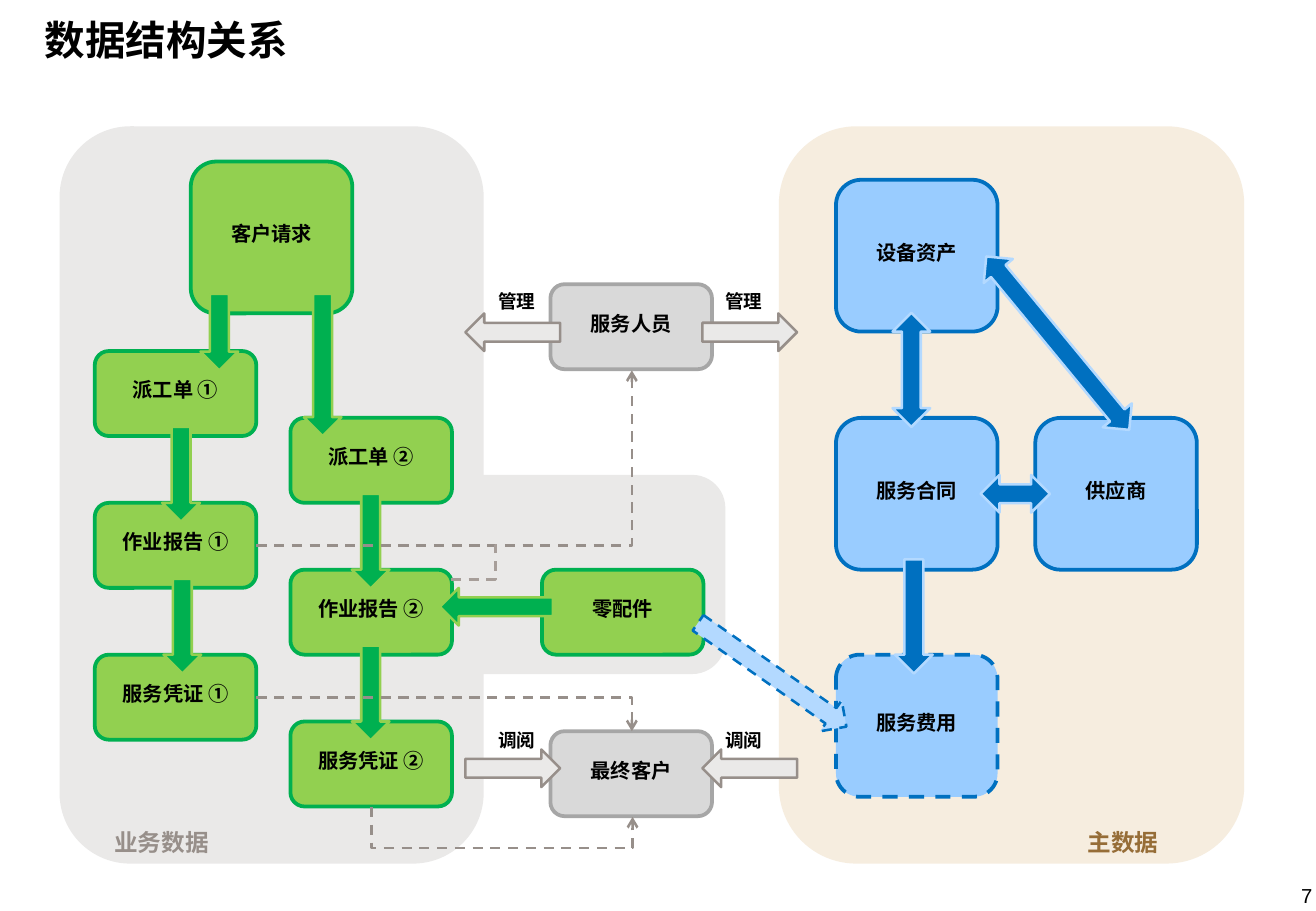
from lxml.etree import SubElement
from pptx import Presentation
from pptx.dml.color import RGBColor
from pptx.enum.dml import MSO_LINE_DASH_STYLE as Dash
from pptx.enum.shapes import MSO_CONNECTOR as Connector, MSO_SHAPE as Preset
from pptx.enum.text import MSO_ANCHOR as Anchor, PP_ALIGN as Align
from pptx.oxml.ns import qn
from pptx.util import Inches, Pt

BLACK = RGBColor(0x00, 0x00, 0x00)
BLUE = RGBColor(0x00, 0x70, 0xC0)
SKY = RGBColor(0x99, 0xCC, 0xFF)
PALE_BLUE = RGBColor(0xB3, 0xD9, 0xFF)
GREEN = RGBColor(0x00, 0xB0, 0x50)
LIME = RGBColor(0x92, 0xD0, 0x50)
SILVER = RGBColor(0xD9, 0xD9, 0xD9)
MID_GRAY = RGBColor(0xA6, 0xA6, 0xA6)
WARM_GRAY = RGBColor(0x97, 0x8F, 0x8A)
LIGHT_WARM_GRAY = RGBColor(0xA7, 0x9E, 0x99)
PANEL_GRAY = RGBColor(0xEA, 0xE9, 0xE8)
CREAM = RGBColor(0xF6, 0xED, 0xDF)
BROWN = RGBColor(0x96, 0x6D, 0x37)

BOX_WIDTH = 1.33
TALL = 1.25
LOW = 0.7
ARROW_HEIGHT = 0.31

MASTER = (SKY, BLUE)
BUSINESS = (LIME, GREEN)
PERSON = (SILVER, MID_GRAY)
MASTER_ARROW = (BLUE, PALE_BLUE)
BUSINESS_ARROW = (GREEN, LIME)
PERSON_ARROW = (PANEL_GRAY, WARM_GRAY)
COST_ARROW = (PALE_BLUE, BLUE)


def apply(target, values):
    for name, value in values.items():
        setattr(target, name, value)


class DiagramSlide:
    font = "Noto Sans CJK SC"

    def __init__(self, slide):
        self.slide = slide
        self.shapes = slide.shapes

    def add_text(self, shape, text, size, color=BLACK, bold=True, font=None, **layout):
        paragraph = shape.text_frame.paragraphs[0]
        apply(paragraph, layout)
        run = paragraph.add_run()
        run.text = text
        font = font or self.font
        apply(run.font, {"size": Pt(size), "bold": bold, "name": font})
        run.font.color.rgb = color
        SubElement(run.font._element, qn("a:ea"), typeface=font)

    def label(self, text, left, top, width, height, size, anchor=Anchor.TOP, **style):
        box = self.shapes.add_textbox(*map(Inches, (left, top, width, height)))
        apply(box.text_frame, {"word_wrap": True, "vertical_anchor": anchor})
        self.add_text(box, text, size, **style)
        return box

    def preset(self, kind, left, top, width, height, fill, line=None, weight=2.25, dash=None):
        shape = self.shapes.add_shape(kind, *map(Inches, (left, top, width, height)))
        shape.shadow.inherit = False
        shape.fill.solid()
        shape.fill.fore_color.rgb = fill
        if line is None:
            shape.line.fill.background()
        else:
            shape.line.color.rgb = line
            apply(shape.line, {"width": Pt(weight), "dash_style": dash})
        return shape

    def panel(self, left, top, width, height, fill):
        self.preset(Preset.ROUNDED_RECTANGLE, left, top, width, height, fill)

    def box(self, text, left, top, height, colors, dash=None):
        shape = self.preset(Preset.ROUNDED_RECTANGLE, left, top, BOX_WIDTH, height, *colors, dash=dash)
        apply(shape.text_frame, {"word_wrap": True, "vertical_anchor": Anchor.MIDDLE})
        self.add_text(shape, text, 12, alignment=Align.CENTER, line_spacing=Pt(10))

    def arrow(self, left, top, length, rotation, colors, kind=Preset.RIGHT_ARROW, dash=None):
        shape = self.preset(kind, left, top, length, ARROW_HEIGHT, *colors, weight=1.5, dash=dash)
        shape.rotation = rotation

    def elbow(self, begin, end, bends=1, adjust=None, color=WARM_GRAY, head=True, **turn):
        connector = self.shapes.add_connector(Connector.ELBOW, *map(Inches, begin + end))
        connector.line.color.rgb = color
        apply(connector.line, {"width": Pt(1.5), "dash_style": Dash.DASH})
        properties = connector._element.spPr
        geometry = properties.find(qn("a:prstGeom"))
        geometry.set("prst", f"bentConnector{bends + 1}")
        if adjust is not None:
            guides = geometry.find(qn("a:avLst"))
            SubElement(guides, qn("a:gd"), name="adj1", fmla=f"val {round(adjust * 100000)}")
        for name, value in turn.items():
            properties.find(qn("a:xfrm")).set(name, value)
        if head:
            SubElement(properties.find(qn("a:ln")), qn("a:tailEnd"), type="arrow")
        SubElement(properties, qn("a:effectLst"))


def main():
    presentation = Presentation()
    apply(presentation, {"slide_width": Inches(10.83), "slide_height": Inches(7.5)})
    diagram = DiagramSlide(presentation.slides.add_slide(presentation.slide_layouts[6]))

    diagram.panel(1.96, 3.91, 4.01, 1.64, PANEL_GRAY)
    diagram.panel(0.49, 1.04, 3.49, 6.07, PANEL_GRAY)
    diagram.panel(6.41, 1.04, 3.83, 6.07, CREAM)
    diagram.label("数据结构关系", 0.27, 0.06, 8.61, 0.51, 24, Anchor.BOTTOM)
    number = diagram.label("7", 9.89, 7.16, 0.91, 0.31, 12, Anchor.BOTTOM,
                           bold=False, font="Arial", alignment=Align.RIGHT)
    apply(number.text_frame, dict.fromkeys(
        ("margin_left", "margin_top", "margin_right", "margin_bottom"), 0))

    for text, left, top in (("设备资产", 6.88, 1.48), ("服务合同", 6.88, 3.44), ("供应商", 8.52, 3.44)):
        diagram.box(text, left, top, TALL, MASTER)
    diagram.box("服务费用", 6.88, 5.39, 1.17, MASTER, Dash.DASH)
    diagram.box("客户请求", 1.57, 1.33, TALL, BUSINESS)
    for mark, left, first_top in (("①", 0.78, 2.89), ("②", 2.39, 3.44)):
        for step, name in enumerate(("派工单", "作业报告", "服务凭证")):
            diagram.box(f"{name} {mark}", left, first_top + step * 1.25, LOW, BUSINESS)
    diagram.box("最终客户", 4.53, 6.02, LOW, PERSON)
    diagram.box("服务人员", 4.53, 2.34, LOW, PERSON)

    for left, top, length, rotation in ((7.03, 2.89, 0.94, 270), (7.78, 2.67, 1.85, 230.5),
                                        (8.07, 3.91, 0.57, 180)):
        diagram.arrow(left, top, length, rotation, MASTER_ARROW, Preset.LEFT_RIGHT_ARROW)
    diagram.arrow(7.05, 4.92, 0.94, 90, MASTER_ARROW)

    for left, top, length in ((1.49, 2.58, 0.63), (2.07, 2.85, 1.17), (1.1, 3.75, 0.78),
                              (1.11, 5, 0.78), (2.66, 4.3, 0.78), (2.66, 5.55, 0.78)):
        diagram.arrow(left, top, length, 90, BUSINESS_ARROW)

    for text, top, label_top, left_turn, right_turn in (("管理", 2.58, 2.34, 180, 0),
                                                        ("调阅", 6.17, 5.95, 0, 180)):
        diagram.arrow(3.83, top, 0.78, left_turn, PERSON_ARROW)
        diagram.arrow(5.78, top, 0.78, right_turn, PERSON_ARROW)
        for left in (4, 5.87):
            diagram.label(text, left, label_top, 0.91, 0.29, 11)

    diagram.label("主数据", 8.85, 6.77, 0.91, 0.34, 14, color=BROWN)
    diagram.label("业务数据", 0.84, 6.77, 1.12, 0.34, 14, color=WARM_GRAY)

    diagram.elbow((4.09, 5.61), (4.17, 7.76), 2, 4.2, rot="16200000", flipH="1")
    diagram.elbow((2.11, 5.74), (5.2, 6.02))
    diagram.elbow((2.11, 4.49), (5.2, 3.05))
    diagram.elbow((3.71, 4.77), (4.09, 4.49), 2, 0.97, LIGHT_WARM_GRAY, head=False)

    diagram.box("零配件", 4.46, 4.69, LOW, BUSINESS)
    diagram.arrow(3.62, 4.84, 0.93, 180, BUSINESS_ARROW)
    diagram.arrow(5.61, 5.4, 1.49, 35, COST_ARROW, dash=Dash.DASH)

    presentation.save("out.pptx")


if __name__ == "__main__":
    main()
